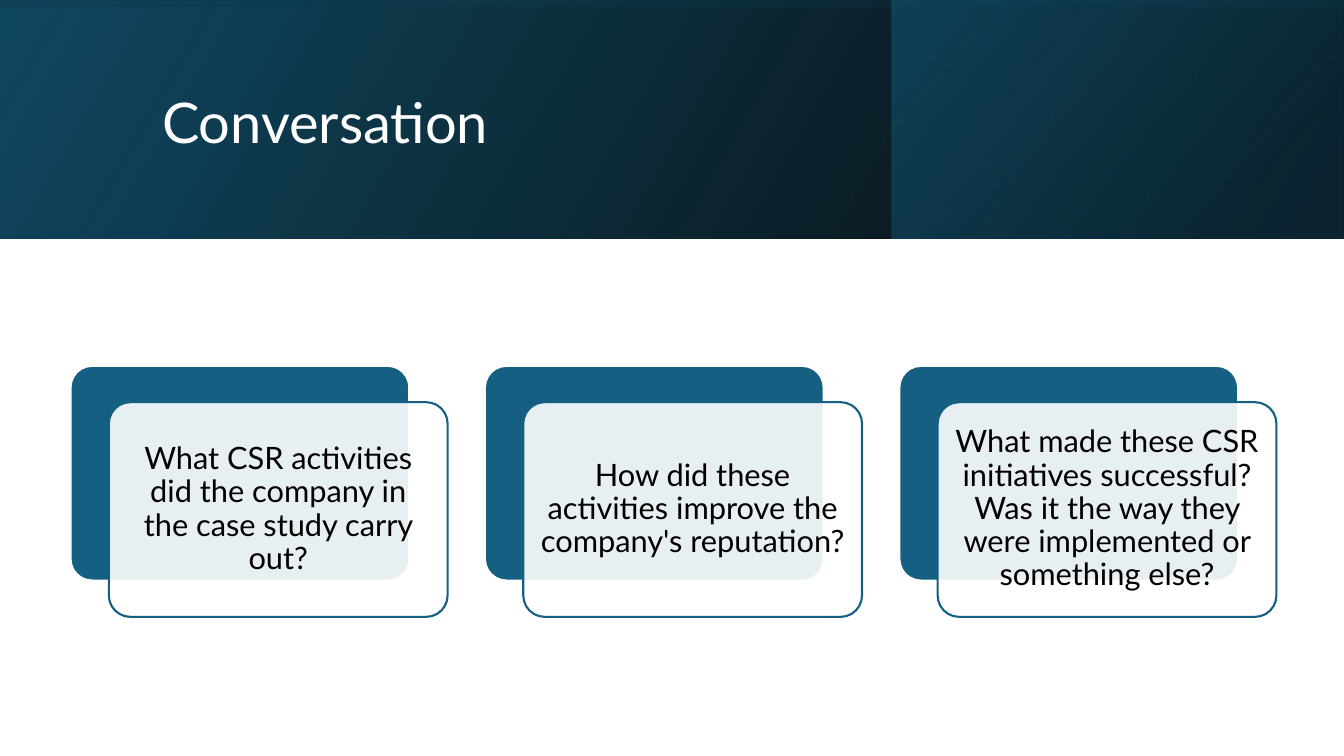
from lxml import etree
from pptx import Presentation
from pptx.dml.color import RGBColor
from pptx.enum import shapes, text
from pptx.oxml import parse_xml
from pptx.oxml.ns import nsdecls, qn
from pptx.util import Inches, Pt

WHITE = RGBColor(0xFF, 0xFF, 0xFF)
BLACK = RGBColor(0x00, 0x00, 0x00)
TEAL = RGBColor(0x15, 0x60, 0x82)
DEEP_TEAL = RGBColor(0x10, 0x48, 0x62)
NAVY = RGBColor(0x0B, 0x30, 0x41)

WIDTH, HEIGHT, BANNER_HEIGHT = 13.33, 7.5, 2.37
CARD_SIZE = (3.36, 2.13)
CARD_LEFT, CARD_TOP, CARD_PITCH = 0.7, 3.63, 4.11
FRONT_SHIFT = (0.38, 0.36)

# Left, top, width, height, rotation, angle, stops (position, colour, alpha)
BANNER_LAYERS = [
    ((0, 0, WIDTH, BANNER_HEIGHT), 0, 330,
     [(0, BLACK, 96), (100, DEEP_TEAL, 100)]),
    ((8.84, 0, 4.48, BANNER_HEIGHT), 0, 320,
     [(19, NAVY, 68), (100, TEAL, 48)]),
    ((5.48, -5.48, BANNER_HEIGHT, WIDTH), 270, 350,
     [(23, DEEP_TEAL, 16), (99, BLACK, 45)]),
]
QUESTIONS = [
    "What CSR activities did the company in the case study carry out?",
    "How did these activities improve the company's reputation?",
    "What made these CSR initiatives successful? Was it the way they were "
    "implemented or something else?",
]


def add_banner_layer(page, place, rotation, angle, stops):
    """Add a mirrored rectangle with a see-through gradient."""
    layer = page.shapes.add_shape(
        shapes.MSO_SHAPE.RECTANGLE, *map(Inches, place))
    layer.shadow.inherit = False
    layer.rotation = rotation
    layer.line.fill.background()
    layer.fill.background()
    properties = layer._element.spPr
    properties.find(qn("a:xfrm")).set("flipH", "1")
    stop_xml = "".join(
        f'<a:gs pos="{position * 1000}"><a:srgbClr val="{color}">'
        f'<a:alpha val="{alpha * 1000}"/></a:srgbClr></a:gs>'
        for position, color, alpha in stops)
    gradient = parse_xml(
        f'<a:gradFill {nsdecls("a")} rotWithShape="1">'
        f'<a:gsLst>{stop_xml}</a:gsLst>'
        f'<a:lin ang="{angle * 60000}" scaled="0"/></a:gradFill>')
    properties.replace(properties.find(qn("a:noFill")), gradient)


def add_panel(page, left, top, fill, line, alpha=100):
    """Add one rounded panel of a card."""
    panel = page.shapes.add_shape(
        shapes.MSO_SHAPE.ROUNDED_RECTANGLE,
        *map(Inches, (left, top, *CARD_SIZE)))
    panel.adjustments[0] = 0.1
    panel.shadow.inherit = False
    panel.fill.solid()
    panel.fill.fore_color.rgb = fill
    panel.line.color.rgb = line
    panel.line.width = Pt(1.5)
    if alpha < 100:
        color = panel._element.spPr.find(qn("a:solidFill"))[0]
        etree.SubElement(color, qn("a:alpha"), val=str(alpha * 1000))
    return panel


def write_text(box, words, size, color, inset, align, space_after=0):
    """Fill a shape with one vertically centred paragraph."""
    frame = box.text_frame
    frame_format = {"word_wrap": True,
                    "vertical_anchor": text.MSO_ANCHOR.MIDDLE}
    for side in ("left", "right", "top", "bottom"):
        frame_format[f"margin_{side}"] = Inches(inset)
    for name, value in frame_format.items():
        setattr(frame, name, value)
    para = frame.paragraphs[0]
    para_format = {"alignment": align, "line_spacing": 0.9,
                   "space_after": Pt(space_after)}
    for name, value in para_format.items():
        setattr(para, name, value)
    span = para.add_run()
    span.text = words
    for name, value in {"name": "Lato", "size": Pt(size)}.items():
        setattr(span.font, name, value)
    span.font.color.rgb = color


def add_card(page, left, question):
    """Add a solid back panel and a shifted front panel with a question."""
    add_panel(page, left, CARD_TOP, TEAL, WHITE)
    front = add_panel(page, left + FRONT_SHIFT[0], CARD_TOP + FRONT_SHIFT[1],
                      WHITE, TEAL, alpha=90)
    write_text(front, question, 22, BLACK, 0.09, text.PP_ALIGN.CENTER, 7.7)


def main():
    deck = Presentation()
    deck.slide_width, deck.slide_height = Inches(WIDTH), Inches(HEIGHT)
    page = deck.slides.add_slide(deck.slide_layouts[6])

    # Banner and title
    for layer in BANNER_LAYERS:
        add_banner_layer(page, *layer)
    title = page.shapes.add_textbox(*map(Inches, (1.51, 0.38, 10.63, 1.72)))
    write_text(title, "Conversation", 40, WHITE, 0.1, text.PP_ALIGN.LEFT)

    # Question cards
    for index, question in enumerate(QUESTIONS):
        add_card(page, CARD_LEFT + index * CARD_PITCH, question)

    deck.save("out.pptx")


if __name__ == "__main__":
    main()
